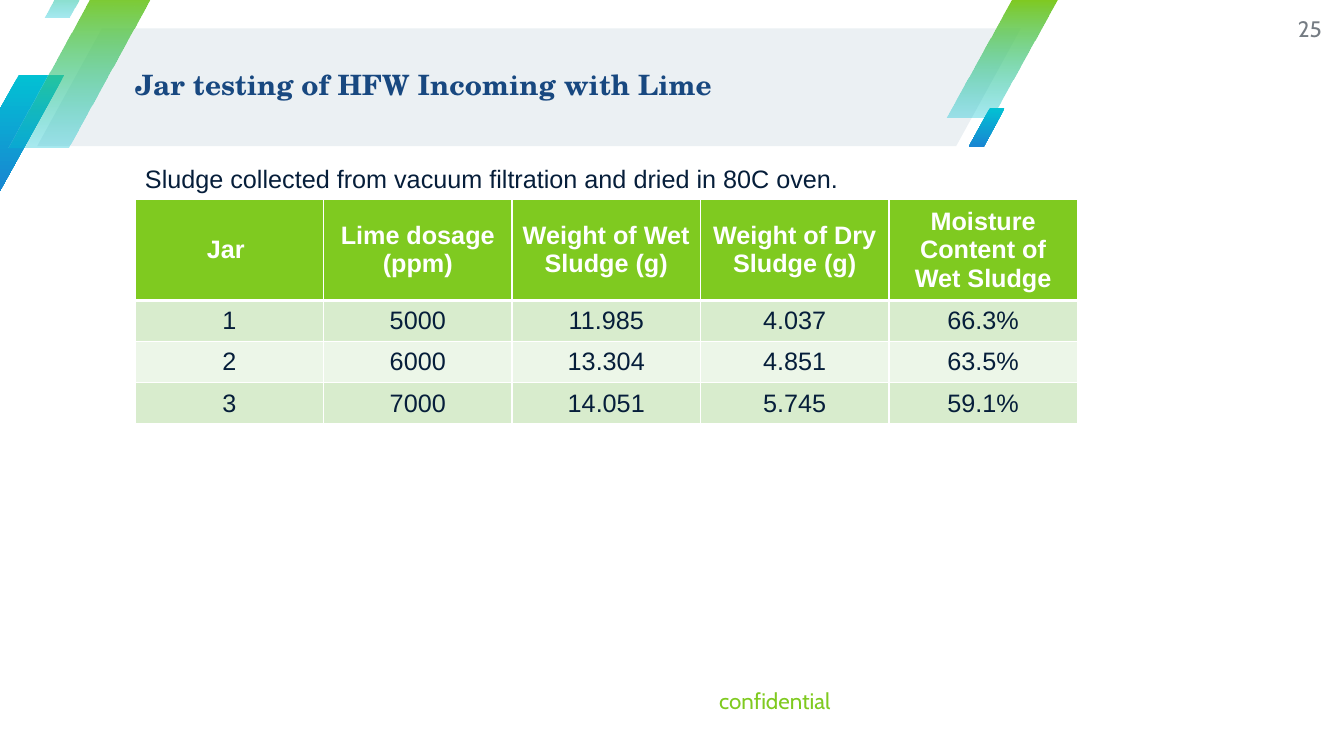
from dataclasses import dataclass

from lxml import etree
from pptx import Presentation
from pptx.dml.color import RGBColor
from pptx.enum import shapes, text
from pptx.oxml import ns
from pptx.util import Pt

WHITE, GREEN, NAVY, CYAN = "FFFFFF", "7FCA20", "061E3A", "02C1D3"
TITLE_BLUE, GREY, BAND_GREY, BLUE = "184880", "757C83", "EBF0F3", "1985D2"
ROW_FILLS = ("D8ECCD", "ECF6E8")
LEFT_EDGE = 96.5


@dataclass
class Box:
    left: float
    top: float
    width: float
    height: float

    def lengths(self) -> tuple:
        return Pt(self.left), Pt(self.top), Pt(self.width), Pt(self.height)


@dataclass
class Stripe:
    box: Box
    top_color: str
    bottom_color: str
    bottom_alpha: int = 100
    slant: float = 0.59


@dataclass
class Style:
    font: str
    size: float
    color: str
    bold: bool = False
    align: text.PP_ALIGN = text.PP_ALIGN.LEFT


STRIPES = (
    Stripe(Box(26.6, 20.2, 702.7, 84.2), BAND_GREY, BAND_GREY, slant=0.55),
    Stripe(Box(-33.1, 53.3, 79.2, 84.2), CYAN, BLUE),
    Stripe(Box(676.1, 0, 79.2, 84.2), GREEN, CYAN, 34),
    Stripe(Box(5.8, -7.2, 105.1, 112.3), GREEN, CYAN, 34),
    Stripe(Box(31.7, -34.6, 43.9, 46.8), GREEN, CYAN, 34),
    Stripe(Box(691.9, 77, 25.9, 28.1), CYAN, BLUE),
)
ROWS = (
    ("Jar ", "Lime dosage (ppm)", "Weight of Wet Sludge (g)",
     "Weight of Dry Sludge (g)", "Moisture Content of Wet Sludge"),
    ("1", "5000", "11.985", "4.037", "66.3%"),
    ("2", "6000", "13.304", "4.851", "63.5%"),
    ("3", "7000", "14.051", "5.745", "59.1%"),
)


def rgb(color: str) -> RGBColor:
    return RGBColor.from_string(color)


def write(text_frame, words: str, style: Style) -> None:
    text_frame.text = words
    paragraph = text_frame.paragraphs[0]
    paragraph.alignment = style.align
    font = paragraph.runs[0].font
    font.name, font.size, font.bold = style.font, Pt(style.size), style.bold
    font.color.rgb = rgb(style.color)


def remove_insets(text_frame) -> None:
    text_frame.margin_left = text_frame.margin_right = 0
    text_frame.margin_top = text_frame.margin_bottom = 0
    text_frame.vertical_anchor = text.MSO_ANCHOR.MIDDLE
    text_frame.word_wrap = True


def add_stripe(slide, stripe: Stripe) -> None:
    shape = slide.shapes.add_shape(shapes.MSO_SHAPE.PARALLELOGRAM, *stripe.box.lengths())
    shape.adjustments[0] = stripe.slant
    shape.shadow.inherit = False
    shape.line.fill.background()
    if stripe.top_color == stripe.bottom_color:
        shape.fill.solid()
        shape.fill.fore_color.rgb = rgb(stripe.top_color)
        return
    shape.fill.gradient()
    shape.fill.gradient_angle = 270
    for stop, color in zip(shape.fill.gradient_stops, (stripe.top_color, stripe.bottom_color)):
        stop.color.rgb = rgb(color)
    if stripe.bottom_alpha < 100:
        last_color = shape.element.xpath(".//a:gs/a:srgbClr")[-1]
        etree.SubElement(last_color, ns.qn("a:alpha"), val=str(stripe.bottom_alpha * 1000))


def add_label(slide, box: Box, words: str, style: Style) -> None:
    text_frame = slide.shapes.add_textbox(*box.lengths()).text_frame
    remove_insets(text_frame)
    write(text_frame, words, style)


def add_borders(cell, bottom_width: float) -> None:
    properties = cell._tc.get_or_add_tcPr()
    for side, width in (("L", 1), ("R", 1), ("T", 1), ("B", bottom_width)):
        line = etree.SubElement(properties, ns.qn(f"a:ln{side}"), w=str(Pt(width)))
        fill = etree.SubElement(line, ns.qn("a:solidFill"))
        etree.SubElement(fill, ns.qn("a:srgbClr"), val=WHITE)


def add_sludge_table(slide) -> None:
    box = Box(LEFT_EDGE, 142.6, 673.2, 145.2)
    table = slide.shapes.add_table(len(ROWS), len(ROWS[0]), *box.lengths()).table
    for column in table.columns:
        column.width = Pt(box.width / len(ROWS[0]))
    for row_index, values in enumerate(ROWS):
        header = row_index == 0
        table.rows[row_index].height = Pt(56.9 if header else 29.4)
        style = Style("Arial", 18, WHITE if header else NAVY, header, text.PP_ALIGN.CENTER)
        for column_index, value in enumerate(values):
            cell = table.cell(row_index, column_index)
            # The thick rule under the header is shared with the first data row.
            add_borders(cell, 3 if header else 1)
            cell.fill.solid()
            cell.fill.fore_color.rgb = rgb(GREEN if header else ROW_FILLS[(row_index - 1) % 2])
            cell.vertical_anchor = text.MSO_ANCHOR.MIDDLE
            write(cell.text_frame, value, style)


def place_title(slide) -> None:
    title = slide.shapes.title
    slide.shapes.element.append(title.element)
    title.left, title.top, title.width, title.height = Box(LEFT_EDGE, 18.7, 632.9, 85.7).lengths()
    remove_insets(title.text_frame)
    title.text_frame.auto_size = text.MSO_AUTO_SIZE.NONE
    write(title.text_frame, "Jar testing of HFW Incoming with Lime",
          Style("TeX Gyre Schola", 20, TITLE_BLUE, True))
    title.text_frame.paragraphs[0].line_spacing = 0.9


def add_sludge_note(slide) -> None:
    note = slide.shapes.add_textbox(*Box(LEFT_EDGE, 113, 514.1, 28.8).lengths()).text_frame
    note.word_wrap = False
    note.auto_size = text.MSO_AUTO_SIZE.SHAPE_TO_FIT_TEXT
    write(note, "Sludge collected from vacuum filtration and dried in 80C oven.",
          Style("Arial", 18, NAVY))


def main() -> None:
    presentation = Presentation()
    presentation.slide_width, presentation.slide_height = Pt(960), Pt(540)
    slide = presentation.slides.add_slide(presentation.slide_layouts[5])
    for stripe in STRIPES:
        add_stripe(slide, stripe)
    right = text.PP_ALIGN.RIGHT
    add_label(slide, Box(336.2, 480.2, 257, 41), "confidential",
              Style("Cabin", 16, GREEN, align=right))
    place_title(slide)
    add_label(slide, Box(898.6, 0, 45.4, 41), "25", Style("Cabin", 16, GREY, align=right))
    add_sludge_table(slide)
    add_sludge_note(slide)
    presentation.save("out.pptx")


if __name__ == "__main__":
    main()
